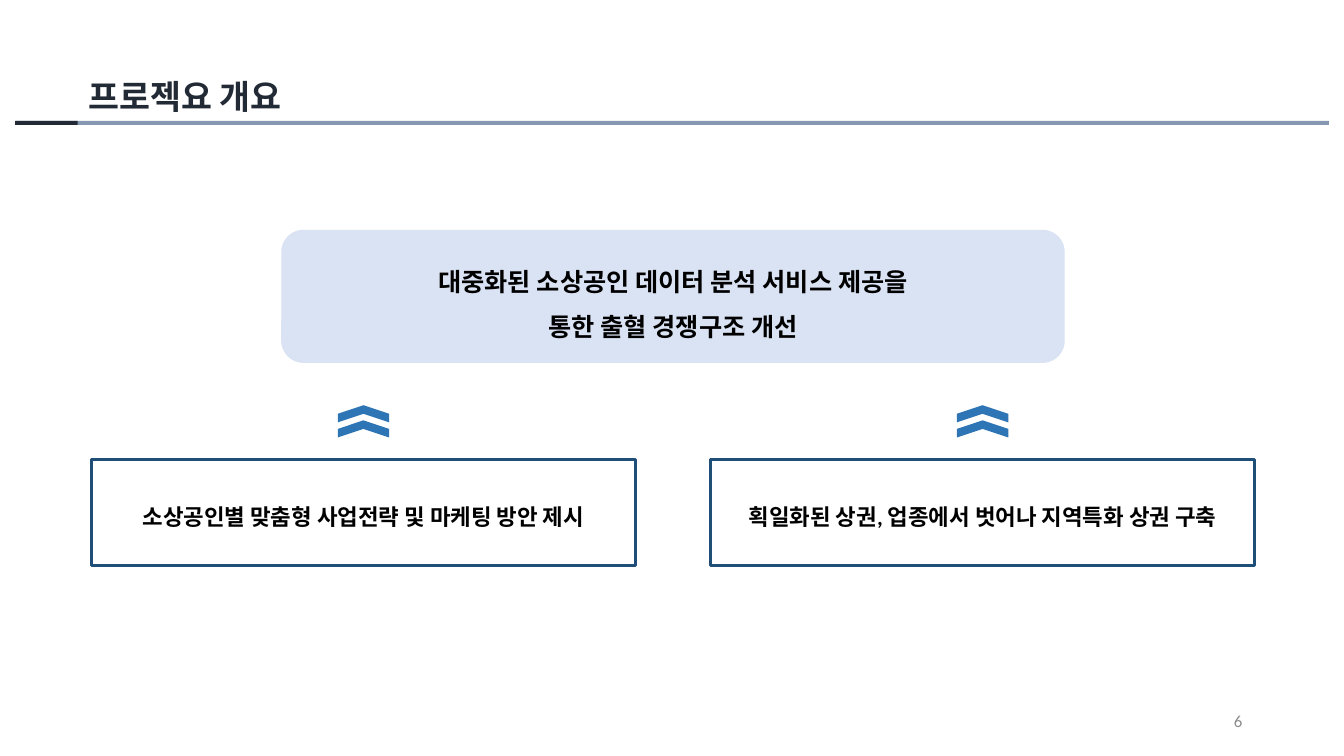
import dataclasses

import pptx
import pptx.dml.color
import pptx.enum.shapes
import pptx.enum.text
import pptx.util

PX = 9144  # EMU per px, 100 px to the inch
SHAPE = pptx.enum.shapes.MSO_SHAPE
ALIGN = pptx.enum.text.PP_ALIGN
ANCHOR = pptx.enum.text.MSO_ANCHOR
AUTO_SIZE = pptx.enum.text.MSO_AUTO_SIZE


@dataclasses.dataclass(frozen=True)
class Theme:
    font: str = "Calibri"
    ink: str = "222A35"
    rule: str = "8597B1"
    goal: str = "DAE3F3"
    arrow: str = "2E75B6"
    frame: str = "1F4E79"
    text: str = "000000"
    muted: str = "8C8C8C"
    title_size: int = 24
    goal_size: int = 18
    strategy_size: int = 16
    number_size: int = 12
    frame_width: float = 2.25


def rgb(value):
    return pptx.dml.color.RGBColor.from_string(value)


def set_all(target, formats):
    for name, value in formats.items():
        setattr(target, name, value)


class SlideBuilder:
    def __init__(self, slide, theme):
        self.slide = slide
        self.theme = theme

    def shape(self, kind, box, fill=None, line=None, parent=None):
        shapes = (parent or self.slide).shapes
        shape = shapes.add_shape(kind, *(n * PX for n in box))
        shape.shadow.inherit = False
        if fill:
            shape.fill.solid()
            shape.fill.fore_color.rgb = rgb(fill)
        else:
            shape.fill.background()
        if line:
            shape.line.color.rgb = rgb(line)
            shape.line.width = pptx.util.Pt(self.theme.frame_width)
        else:
            shape.line.fill.background()
        return shape

    def fill_text(self, shape, lines, size, color, bold=True, anchor=ANCHOR.TOP,
                  auto_size=AUTO_SIZE.NONE, **paragraph_formats):
        frame = shape.text_frame
        set_all(frame, {"word_wrap": True, "vertical_anchor": anchor,
                        "auto_size": auto_size})
        frame.text = "\n".join(lines)
        for paragraph in frame.paragraphs:
            set_all(paragraph, paragraph_formats)
            for run in paragraph.runs:
                set_all(run.font, {"name": self.theme.font, "bold": bold,
                                   "size": pptx.util.Pt(size)})
                run.font.color.rgb = rgb(color)

    def text(self, box, line, size, color, parent=None, **formats):
        shapes = (parent or self.slide).shapes
        label = shapes.add_textbox(*(n * PX for n in box))
        self.fill_text(label, [line], size, color, **formats)

    def header(self, title):
        theme = self.theme
        self.shape(SHAPE.RECTANGLE, (16, 120, 1302, 4), theme.rule)
        self.shape(SHAPE.RECTANGLE, (15, 120, 62, 4), theme.ink)
        self.text((78, 70, 290, 50), title, theme.title_size, theme.ink,
                  auto_size=AUTO_SIZE.SHAPE_TO_FIT_TEXT)

    def goal(self, lines):
        theme = self.theme
        panel = self.shape(SHAPE.ROUNDED_RECTANGLE, (279, 228, 777, 132), theme.goal)
        self.fill_text(panel, lines, theme.goal_size, theme.text,
                       anchor=ANCHOR.MIDDLE, alignment=ALIGN.CENTER,
                       line_spacing=1.5)

    def strategy(self, left, line):
        """Framed strategy with a double chevron pointing up at the goal."""
        theme = self.theme
        width, chevron_width = 539, 17
        group = self.slide.shapes.add_group_shape()
        for top in (385, 400):
            box = (left + (width - chevron_width) // 2, top, chevron_width, 51)
            chevron = self.shape(SHAPE.CHEVRON, box, theme.arrow, parent=group)
            chevron.rotation = 270
        self.shape(SHAPE.RECTANGLE, (left, 456, width, 105), line=theme.frame,
                   parent=group)
        self.text((left, 481, width, 46), line, theme.strategy_size, theme.text,
                  parent=group, auto_size=AUTO_SIZE.SHAPE_TO_FIT_TEXT,
                  alignment=ALIGN.CENTER, line_spacing=1.5)

    def page_number(self, number):
        self.text((942, 695, 300, 40), number, self.theme.number_size,
                  self.theme.muted, bold=False, anchor=ANCHOR.MIDDLE,
                  alignment=ALIGN.RIGHT)


def main():
    deck = pptx.Presentation()
    set_all(deck, {"slide_width": 1333 * PX, "slide_height": 750 * PX})
    overview = SlideBuilder(deck.slides.add_slide(deck.slide_layouts[6]), Theme())
    overview.header("프로젝요 개요")
    overview.goal(["대중화된 소상공인 데이터 분석 서비스 제공을", "통한 출혈 경쟁구조 개선"])
    strategies = ("소상공인별 맞춤형 사업전략 및 마케팅 방안 제시",
                  "획일화된 상권, 업종에서 벗어나 지역특화 상권 구축")
    for column, line in enumerate(strategies):
        overview.strategy(91 + column * 614, line)
    overview.page_number("6")
    deck.save("out.pptx")


if __name__ == "__main__":
    main()
